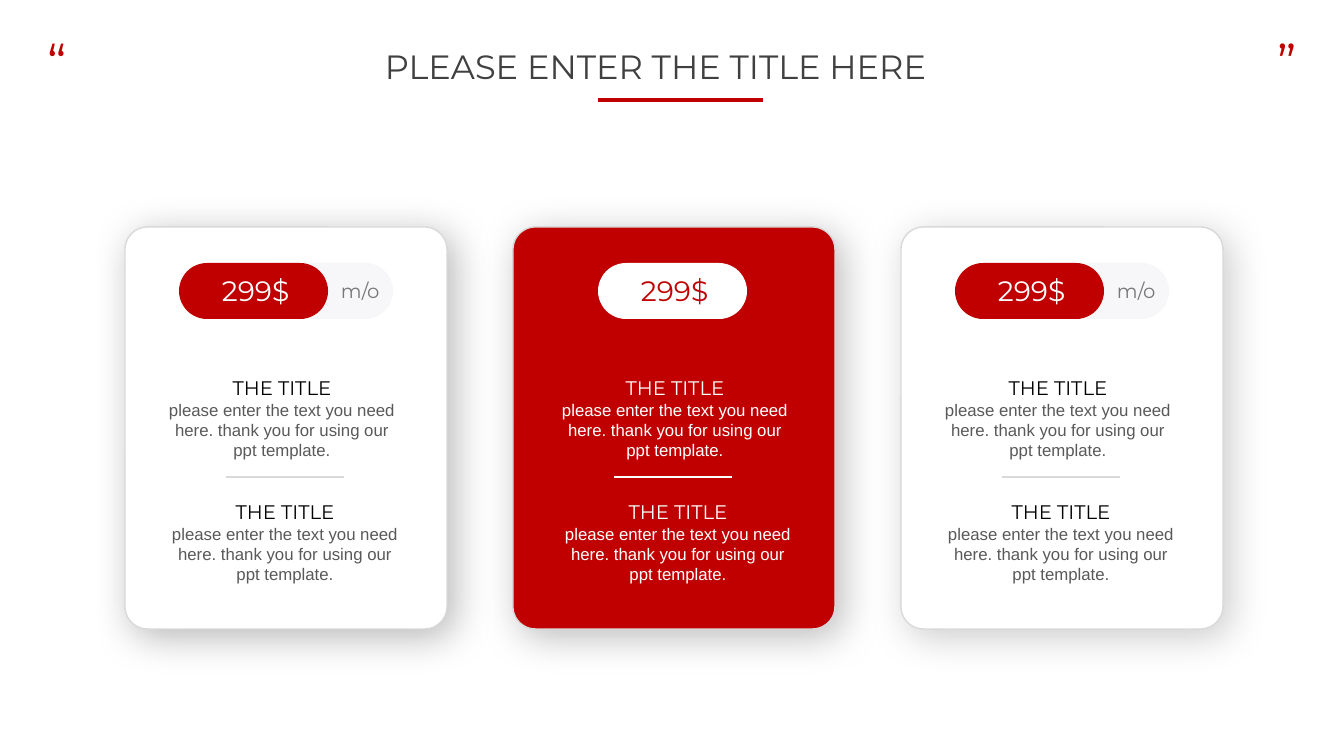
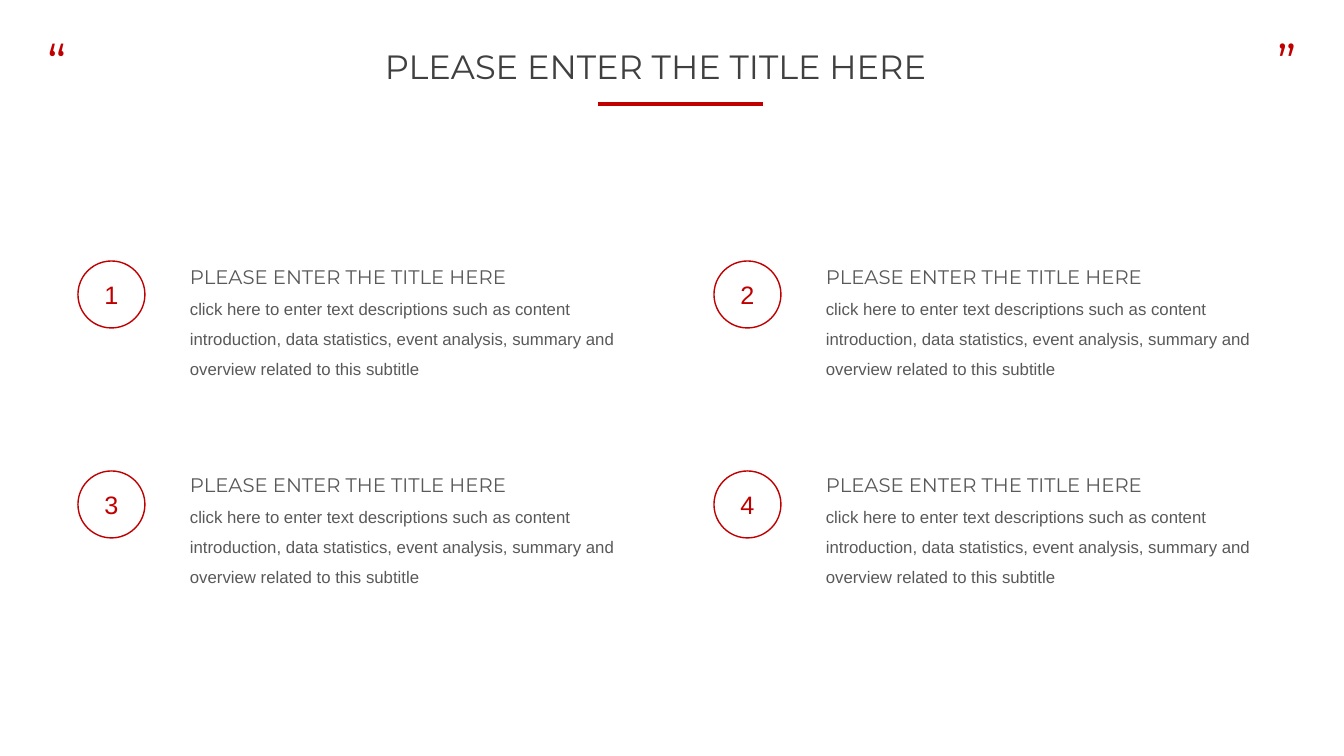
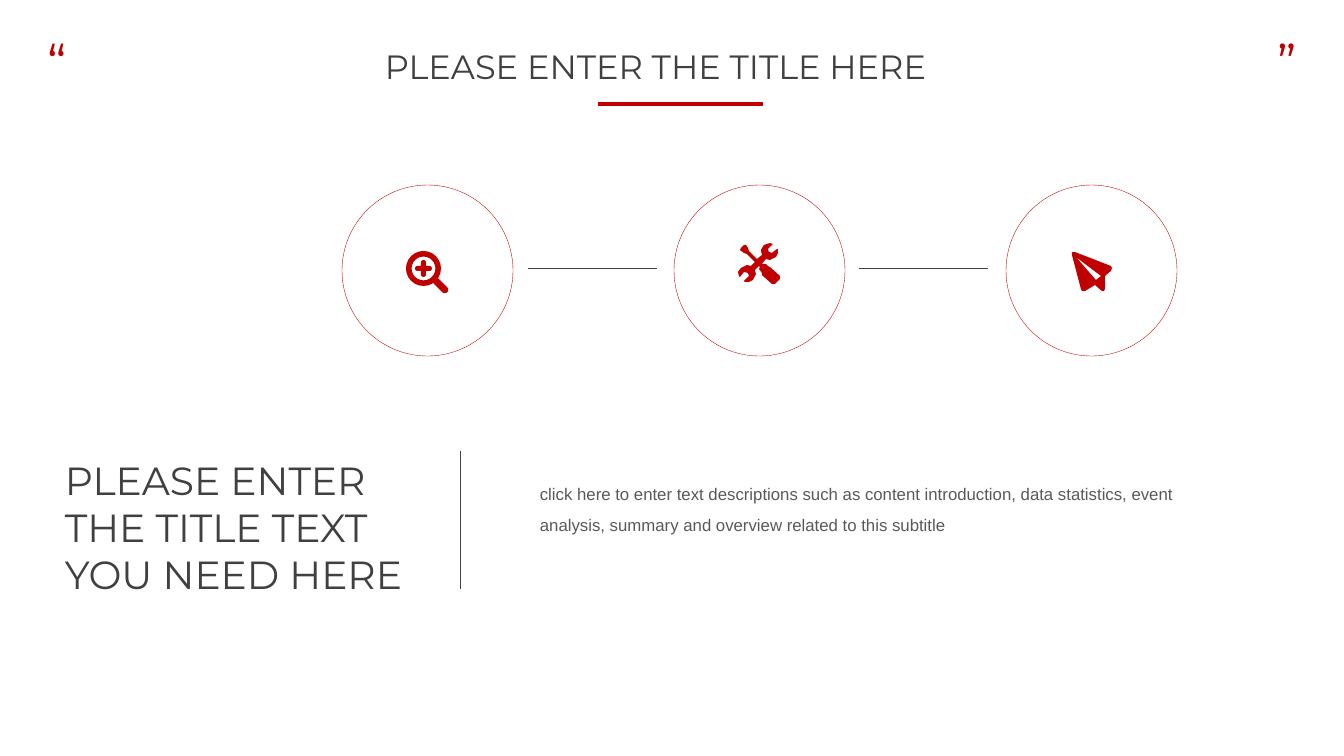
"""Build three slides in red and white: prices, a numbered grid and a row of icons."""
import pptx
import pptx.dml.color
import pptx.enum.shapes
import pptx.enum.text
import pptx.oxml
import pptx.oxml.ns
import pptx.util

SCALE = 914400 / 100.8
KIND = pptx.enum.shapes.MSO_SHAPE
ALIGN = pptx.enum.text.PP_ALIGN
HEAD, BODY = "Montserrat", "Arial"
HUE = {
    "red": "C00000", "white": "FFFFFF", "black": "000000", "dark": "404040",
    "text": "595959", "grey": "77787A", "edge": "D9D9D9", "pale": "F7F6F8",
}


def draw(slide, kind, box, fill=None, edge=None, weight=1):
    """Add a preset shape, or a freeform if kind is a list of outlines."""
    left, top, width, height = [round(n * SCALE) for n in box]
    if isinstance(kind, list):
        start = kind[0][0]
        pen = slide.shapes.build_freeform(*start, scale=SCALE)
        for outline in kind:
            if outline[0] != start:
                pen.move_to(*outline[0])
            pen.add_line_segments(outline[1:], close=True)
        shape = pen.convert_to_shape(left, top)
    else:
        shape = slide.shapes.add_shape(kind, left, top, width, height)
    shape.shadow.inherit = False
    if fill:
        shape.fill.solid()
        shape.fill.fore_color.rgb = pptx.dml.color.RGBColor.from_string(HUE[fill])
    else:
        shape.fill.background()
    if edge:
        shape.line.color.rgb = pptx.dml.color.RGBColor.from_string(HUE[edge])
        shape.line.width = pptx.util.Pt(weight)
    else:
        shape.line.fill.background()
    return shape


def write(slide, box, lines, align=ALIGN.LEFT, space=None, wrap=False, inset=None, shape=None):
    """Put lines of (text, size, font, colour) in a new text box or in shape."""
    if shape is None:
        shape = slide.shapes.add_textbox(*[round(n * SCALE) for n in box])
        shape.text_frame.auto_size = pptx.enum.text.MSO_AUTO_SIZE.SHAPE_TO_FIT_TEXT
    frame = shape.text_frame
    frame.word_wrap = wrap
    if inset is not None:
        frame.margin_left = frame.margin_right = round(inset * SCALE)
        frame.margin_top = frame.margin_bottom = round(inset * SCALE)
        frame.vertical_anchor = pptx.enum.text.MSO_ANCHOR.MIDDLE
    for i, (text, size, font, hue) in enumerate(lines):
        para = frame.add_paragraph() if i else frame.paragraphs[0]
        para.text = text
        para.alignment = align
        if space:
            para.line_spacing = space
        para.font.size = pptx.util.Pt(size)
        para.font.name = font
        para.font.color.rgb = pptx.dml.color.RGBColor.from_string(HUE[hue])


deck = pptx.Presentation()
deck.slide_width = round(1344 * SCALE)
deck.slide_height = round(756 * SCALE)

TITLE = "PLEASE ENTER THE TITLE HERE"
ABOUT = ("click here to enter text descriptions such as content introduction, "
         "data statistics, event analysis, summary and overview related to this subtitle")
OFFER = "please enter the text you need here. thank you for using our ppt template."

slides, rules = [], []
for y in (100, 104, 104):
    slide = deck.slides.add_slide(deck.slide_layouts[6])
    for x, mark in ((38, "“"), (1268, "”")):
        write(slide, (x, 26, 45, 72), [(mark, 36, HEAD, "red")])
    write(slide, (375, 41, 632, 50), [(TITLE, 24, HEAD, "dark")])
    rules.append((slide, 598, y, 165, 0, "red", 3))
    slides.append(slide)
price, grid, icons = slides

CARDS = [
    ("white", "red", "white", 54, 31, "edge", "black", "text", 28),
    ("red", "white", "red", 85, 36, "white", "white", "white", 25),
    ("white", "red", "white", 54, 31, "edge", "black", "text", 20),
]
for i, (back, pill, cost, shift, pad, rule, head, body, alpha) in enumerate(CARDS):
    x = 125 + 388 * i
    card = draw(price, KIND.ROUNDED_RECTANGLE, (x, 227, 322, 402), back, "edge")
    card.adjustments[0] = 0.07
    glow = card._element.spPr.find(pptx.oxml.ns.qn("a:effectLst"))
    glow.append(pptx.oxml.parse_xml(
        f'<a:outerShdw {pptx.oxml.ns.nsdecls("a")} blurRad="{28 * 12700}" dist="{7 * 12700}" '
        f'dir="{45 * 60000}" algn="tl" rotWithShape="0"><a:srgbClr val="{HUE["black"]}">'
        f'<a:alpha val="{alpha * 1000}"/></a:srgbClr></a:outerShdw>'))
    if back == "white":
        draw(price, KIND.ROUNDED_RECTANGLE, (x + 119, 263, 149, 56), "pale").adjustments[0] = 0.5
        write(price, (x + 210, 273, 51, 35), [("m/o", 14, HEAD, "grey")], inset=6)
    draw(price, KIND.ROUNDED_RECTANGLE, (x + shift, 263, 149, 56), pill).adjustments[0] = 0.5
    write(price, (x + shift + 37, 268, 87, 45), [("299$", 20, HEAD, cost)], inset=6)
    for j in range(2):
        write(price, (x + pad + 3 * j, 371 + 124 * j, 252, 95),
              [("THE TITLE", 14, HEAD, head), (OFFER, 12, BODY, body)], ALIGN.CENTER, wrap=True)
    rules.append((price, x + 101, 477, 118, 0, rule, 1))

for i in range(4):
    row, col = divmod(i, 2)
    x = 78 + 636 * col
    write(grid, (x + 102, 248 + 208 * row, 477, 134),
          [(TITLE, 14, HEAD, "text"), (ABOUT, 12, BODY, "text")], space=1.5, wrap=True)
    disc = draw(grid, KIND.OVAL, (x, 261 + 210 * row, 67, 67), "white", "red")
    write(grid, None, [(str(i + 1), 18, BODY, "red")], ALIGN.CENTER, shape=disc)

TOOLS = [[
    (42, 33), (32, 24), (30, 23), (28, 21), (24, 21), (28, 16), (32, 17), (38, 14),
    (40, 10), (40, 6), (39, 6), (34, 10), (31, 9), (30, 6), (35, 1), (32, 0), (26, 2),
    (23, 7), (24, 12), (19, 16), (11, 8), (10, 5), (8, 2), (6, 2), (3, 5), (2, 7),
    (6, 10), (9, 11), (17, 19), (13, 23), (9, 22), (3, 25), (0, 29), (1, 33), (2, 34),
    (6, 29), (10, 30), (11, 33), (6, 38), (7, 39), (11, 39), (15, 37), (18, 31),
    (17, 27), (21, 23), (22, 24), (21, 26), (24, 30), (24, 32), (34, 41), (37, 41), (42, 36),
]]
PLANE = [
    [(40, 15), (4, 1), (1, 1), (1, 4), (10, 38), (11, 40), (14, 40), (24, 34), (31, 40),
     (33, 40), (34, 38), (34, 25), (40, 20), (41, 17)],
    [(25, 29), (5, 6), (30, 25)],
]
draw(icons, KIND.DONUT, (406, 251, 35, 35), "red").adjustments[0] = 0.16
for box, turn in (((415, 266, 17, 5), 0), ((421, 260, 5, 17), 0), ((431, 282, 19, 7), 45)):
    bar = draw(icons, KIND.ROUNDED_RECTANGLE, box, "red")
    bar.adjustments[0] = 0.5
    bar.rotation = turn
draw(icons, TOOLS, (738, 243, 0, 0), "red")
draw(icons, PLANE, (1071, 251, 0, 0), "red")
for i in range(3):
    draw(icons, KIND.OVAL, (342 + 332 * i, 185, 171, 171), None, "red", 0.25)
for i in range(2):
    rules.append((icons, 528 + 331 * i, 268, 129, 0, "dark", 0.5))
rules.append((icons, 460, 451, 0, 138, "dark", 0.25))
write(icons, (55, 451, 383, 152),
      [(line, 28, HEAD, "dark") for line in ("PLEASE ENTER", "THE TITLE TEXT", "YOU NEED HERE")])
write(icons, (530, 469, 679, 68), [(ABOUT, 12, BODY, "text")], space=1.5, wrap=True)

for slide, x, y, width, height, hue, weight in rules:
    ends = [round(n * SCALE) for n in (x, y, x + width, y + height)]
    line = slide.shapes.add_connector(pptx.enum.shapes.MSO_CONNECTOR.STRAIGHT, *ends)
    line.line.color.rgb = pptx.dml.color.RGBColor.from_string(HUE[hue])
    line.line.width = pptx.util.Pt(weight)
    line._element.spPr.append(pptx.oxml.parse_xml(
        f'<a:effectLst {pptx.oxml.ns.nsdecls("a")}/>'))

deck.save("out.pptx")
